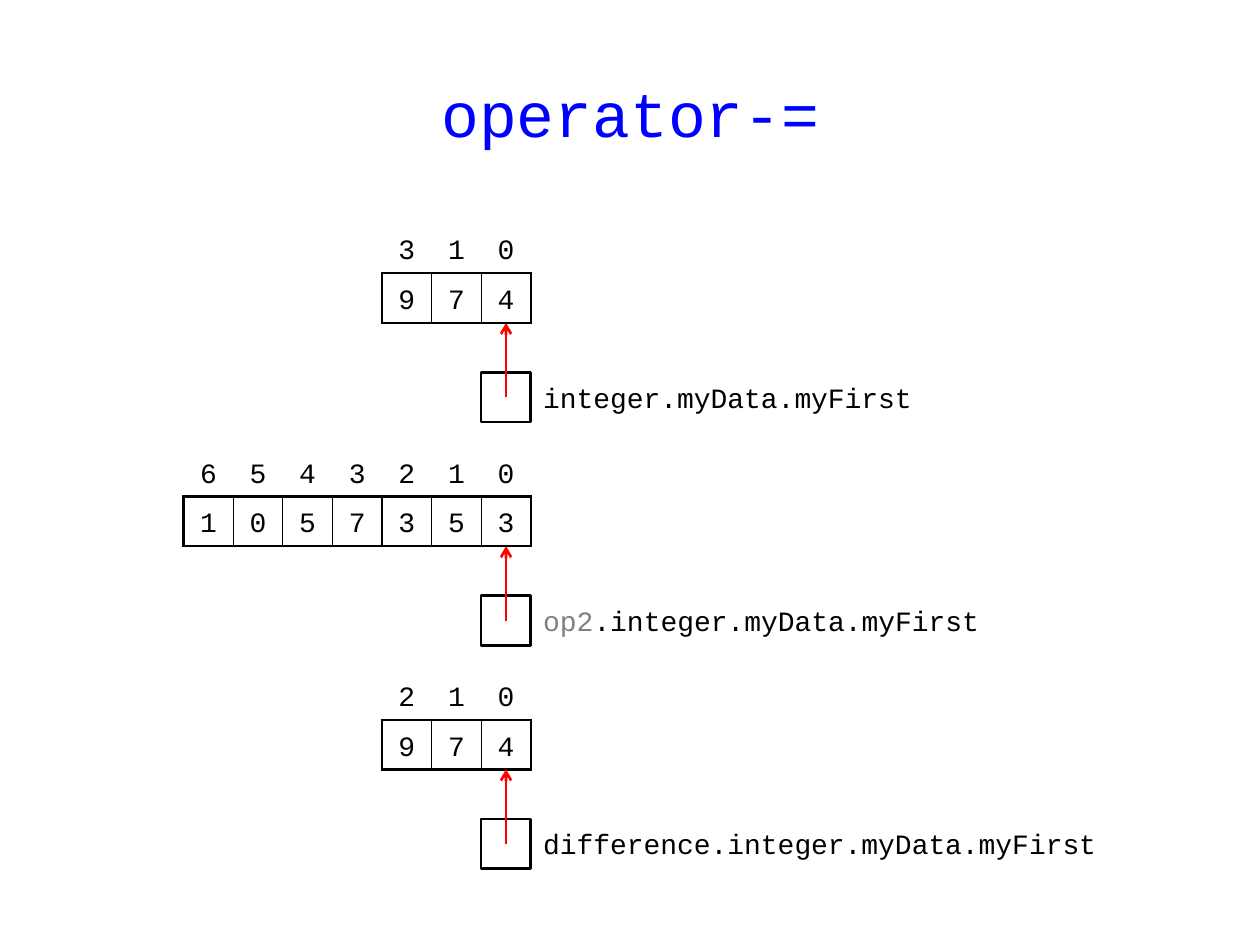
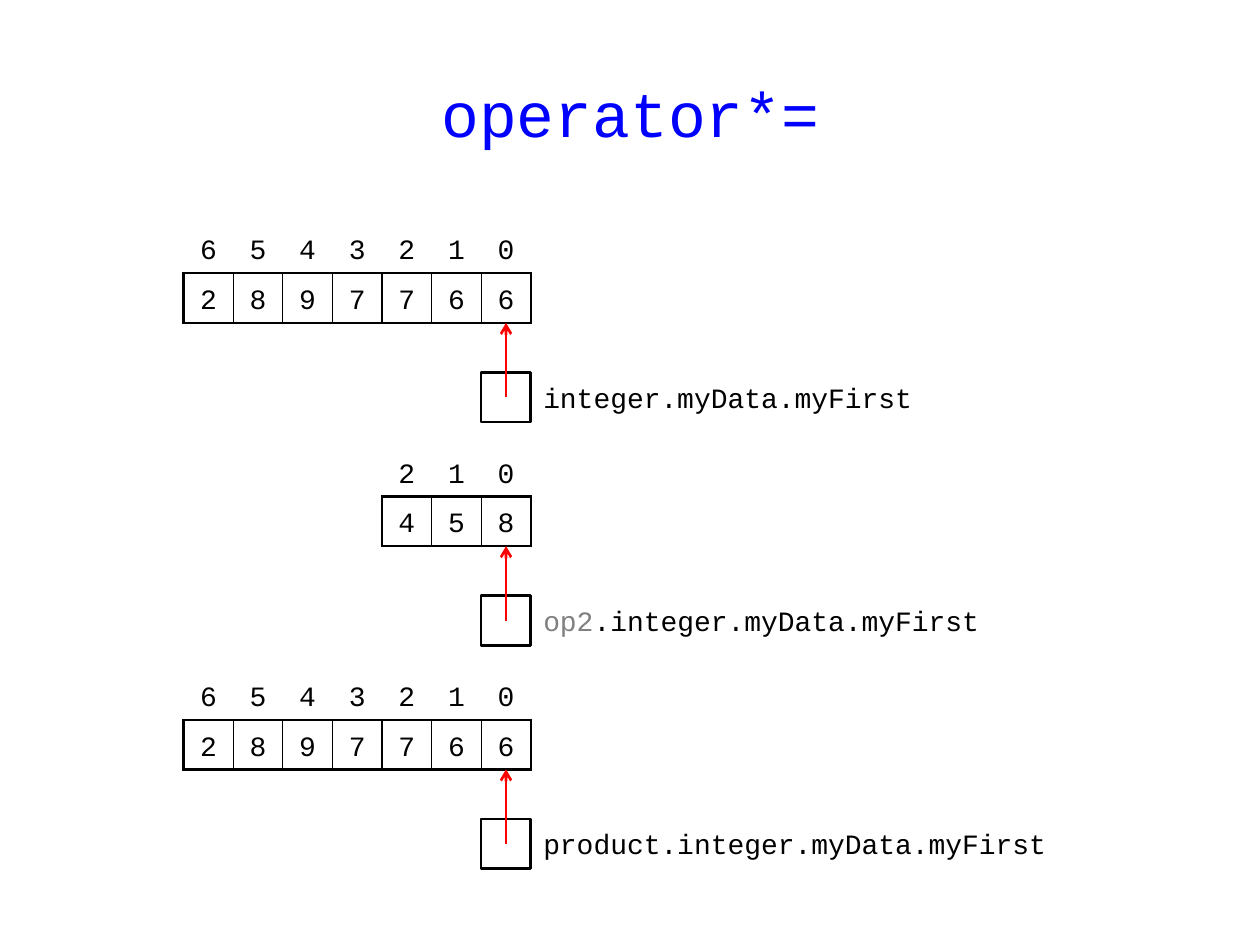
import pptx
import pptx.util
import pptx.dml.color
import pptx.enum.shapes
import pptx.enum.text
import pptx.oxml
import pptx.oxml.ns
import lxml.etree

Pt = pptx.util.Pt
ANCHOR = pptx.enum.text.MSO_ANCHOR
ALIGN = pptx.enum.text.PP_ALIGN

COLORS = {"title": "0000FF", "ink": "000000", "muted": "808080", "arrow": "FF0000", "paper": "FFFFFF"}
FONT = "Courier New"
CELL = 28.35
RIGHT = 303.35
TOP = 127.8
PITCH = 4.5 * CELL
THICK, THIN = 1.5, 0.75

SLIDES = [
    ("operator-=", 12 * CELL, [
        ("310", "974", "", "integer.myData.myFirst"),
        ("6543210", "1057353", "op2", ".integer.myData.myFirst"),
        ("210", "974", "", "difference.integer.myData.myFirst"),
    ]),
    ("operator*=", 11 * CELL, [
        ("6543210", "2897766", "", "integer.myData.myFirst"),
        ("210", "458", "op2", ".integer.myData.myFirst"),
        ("6543210", "2897766", "", "product.integer.myData.myFirst"),
    ]),
]


def rgb(name):
    return pptx.dml.color.RGBColor.from_string(COLORS[name])


def set_font(font, size, color):
    font.name = FONT
    font.size = Pt(size)
    font.color.rgb = rgb(color)


def set_margins(target, left, top, right, bottom):
    target.margin_left, target.margin_right = Pt(left), Pt(right)
    target.margin_top, target.margin_bottom = Pt(top), Pt(bottom)


def add_title(slide, text):
    title = slide.shapes.title
    title.left, title.top, title.width, title.height = Pt(20), Pt(28.8), Pt(680.4), Pt(70.6)
    title.text_frame.text = text
    title.text_frame.vertical_anchor = ANCHOR.MIDDLE
    para = title.text_frame.paragraphs[0]
    para.alignment = ALIGN.CENTER
    set_font(para.font, 36, "title")


def set_borders(cell, left, right, top, bottom):
    properties = cell._tc.get_or_add_tcPr()
    for side, width in zip("LRTB", (left, right, top, bottom)):
        line = lxml.etree.SubElement(properties, pptx.oxml.ns.qn("a:ln" + side))
        if width:
            line.set("w", str(Pt(width)))
            fill = lxml.etree.SubElement(line, pptx.oxml.ns.qn("a:solidFill"))
            lxml.etree.SubElement(fill, pptx.oxml.ns.qn("a:srgbClr"), val=COLORS["ink"])
        else:
            lxml.etree.SubElement(line, pptx.oxml.ns.qn("a:noFill"))


def fill_cell(cell, text, side_margin, borders):
    cell.text = text
    cell.vertical_anchor = ANCHOR.MIDDLE
    set_margins(cell, side_margin, 1.44, side_margin, 1.44)
    para = cell.text_frame.paragraphs[0]
    para.alignment = ALIGN.CENTER
    para.line_spacing = 1.25
    set_font(para.font, 16, "ink")
    set_borders(cell, *borders)
    cell.fill.background()


def add_digits(slide, top, indices, digits):
    count = len(digits)
    width = count * CELL
    frame = slide.shapes.add_table(2, count, Pt(RIGHT - width), Pt(top), Pt(width), Pt(2 * CELL))
    table = frame.table
    table.first_row = table.horz_banding = False
    for row in table.rows:
        row.height = Pt(CELL)
    for number, (index, digit) in enumerate(zip(indices, digits)):
        table.columns[number].width = Pt(CELL)
        left = THICK if number == 0 else THIN
        right = THICK if number == count - 1 else THIN
        fill_cell(table.cell(0, number), index, 7.2, (0, 0, 0, THICK))
        fill_cell(table.cell(1, number), digit, 2.88, (left, right, THICK, THICK))


def add_pointer(slide, top):
    box = slide.shapes.add_shape(pptx.enum.shapes.MSO_SHAPE.RECTANGLE,
                                 Pt(RIGHT - CELL), Pt(top), Pt(CELL), Pt(CELL))
    box.shadow.inherit = False
    box.fill.solid()
    box.fill.fore_color.rgb = rgb("paper")
    box.line.color.rgb = rgb("ink")
    box.line.width = Pt(THICK)

    center = Pt(RIGHT - CELL / 2)
    arrow = slide.shapes.add_connector(pptx.enum.shapes.MSO_CONNECTOR.STRAIGHT,
                                       center, Pt(top + CELL / 2), center, Pt(top - CELL))
    arrow.line.color.rgb = rgb("arrow")
    arrow.line.width = Pt(THICK)
    lxml.etree.SubElement(arrow.line._get_or_add_ln(), pptx.oxml.ns.qn("a:tailEnd"), type="arrow")
    lxml.etree.SubElement(arrow._element.spPr, pptx.oxml.ns.qn("a:effectLst"))


def add_label(slide, top, width, prefix, name):
    box = slide.shapes.add_textbox(Pt(RIGHT), Pt(top), Pt(width), Pt(CELL))
    frame = box.text_frame
    frame.word_wrap = True
    frame.vertical_anchor = ANCHOR.MIDDLE
    set_margins(frame, 7.2, 0, 5.76, 0)
    para = frame.paragraphs[0]
    para.space_before = Pt(8)
    for text, color in ((prefix, "muted"), (name, "ink")):
        if text:
            span = para.add_run()
            span.text = text
            set_font(span.font, 16, color)


def main():
    deck = pptx.Presentation()
    deck.slide_width, deck.slide_height = Pt(720), Pt(540)
    for title, label_width, integers in SLIDES:
        slide = deck.slides.add_slide(deck.slide_layouts[5])
        add_title(slide, title)
        for number, (indices, digits, prefix, name) in enumerate(integers):
            top = TOP + number * PITCH
            add_digits(slide, top, indices, digits)
            add_pointer(slide, top + 3 * CELL)
            add_label(slide, top + 3 * CELL, label_width, prefix, name)
    deck.save("out.pptx")


main()
